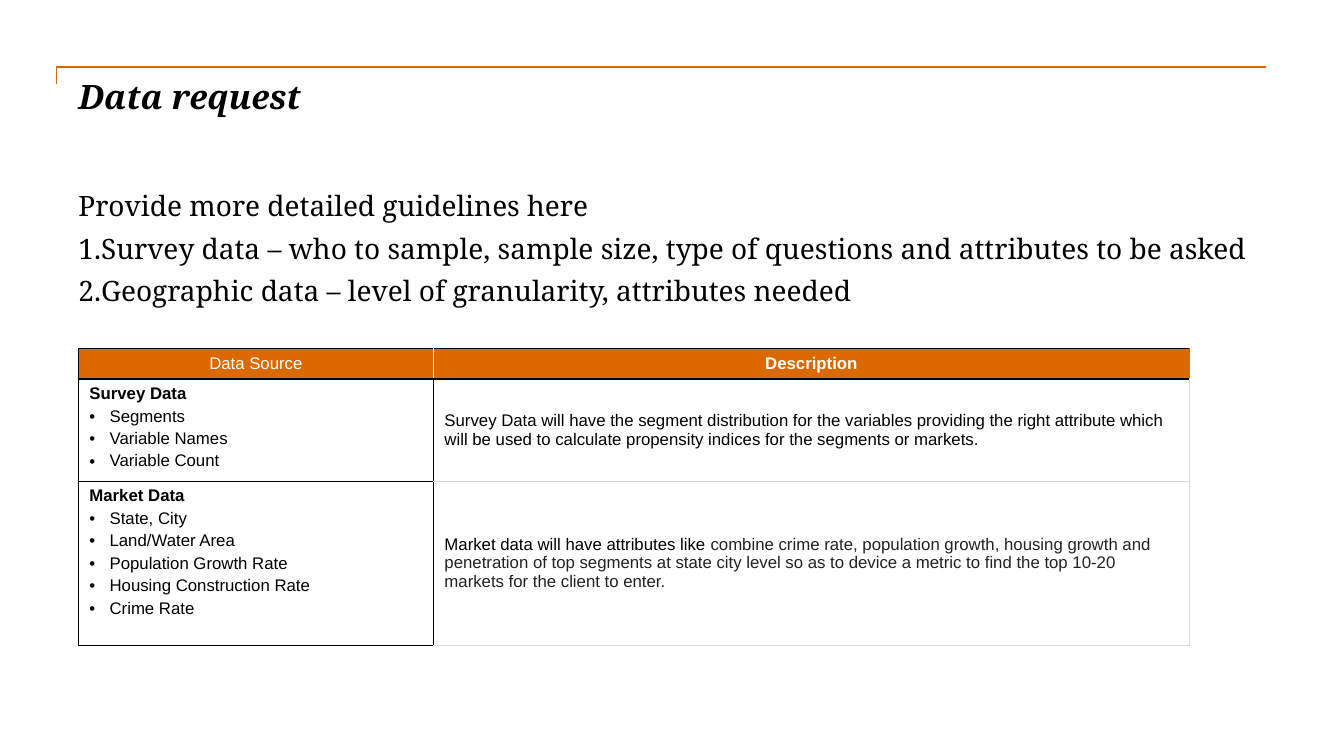
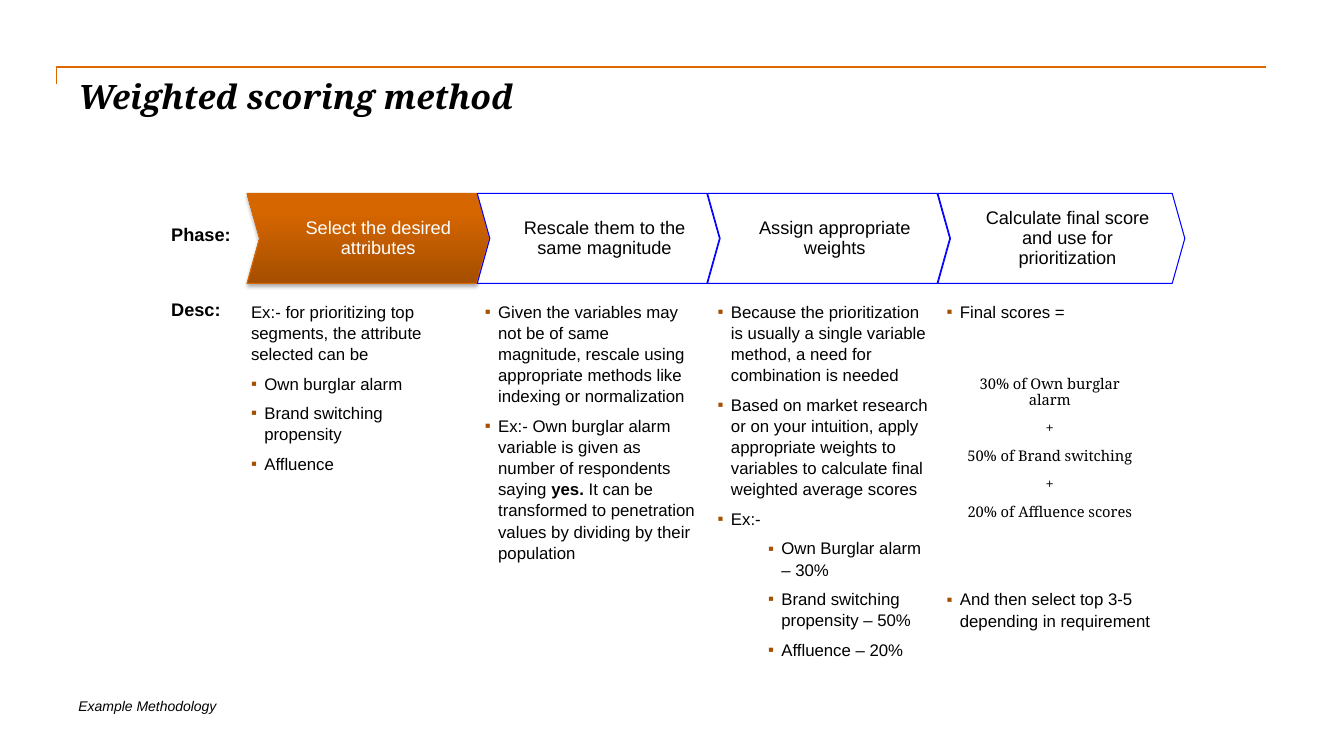
from lxml import etree
from pptx import Presentation
from pptx.dml.color import RGBColor
from pptx.enum.shapes import MSO_SHAPE
from pptx.enum.text import MSO_ANCHOR, PP_ALIGN
from pptx.oxml.ns import qn
from pptx.util import Pt

CHEVRON = MSO_SHAPE.CHEVRON
TOP, MIDDLE, BOTTOM = MSO_ANCHOR.TOP, MSO_ANCHOR.MIDDLE, MSO_ANCHOR.BOTTOM
LEFT, CENTER = PP_ALIGN.LEFT, PP_ALIGN.CENTER

COLORS = {
    "accent": "DC6900", "text": "000000", "soft text": "222222", "white": "FFFFFF",
    "grid": "D9D9D9", "bullet": "A54F00", "outline": "0000FF",
    "active line": "D76700", "active dark": "A44E00", "active light": "D66600",
}
SERIF, SANS = "Noto Serif", "Arial"

# Content: each line is (kind, text); text may be a tuple of (text, changes) runs.
GUIDELINES = [
    ("plain", "Provide more detailed guidelines here"),
    ("number", "Survey data – who to sample, sample size, type of questions "
               "and attributes to be asked"),
    ("number", "Geographic data – level of granularity, attributes needed"),
]
TABLE_ROWS = [
    ([("plain", "Data Source")], [("heading", "Description")]),
    ([("heading", "Survey Data"), ("dot", "Segments"), ("dot", "Variable Names"),
      ("dot", "Variable Count")],
     [("plain", "Survey Data will have the segment distribution for the variables "
                "providing the right attribute which will be used to calculate "
                "propensity indices for the segments or markets.")]),
    ([("heading", "Market Data"), ("dot", "State, City"), ("dot", "Land/Water Area"),
      ("dot", "Population Growth Rate"), ("dot", "Housing Construction Rate"),
      ("dot", "Crime Rate")],
     [("plain", (("Market data will have attributes like ", {}),
                 ("combine crime rate, population growth, housing growth and "
                  "penetration of top segments at state city level so as to device "
                  "a metric to find the top 10-20 markets for the client to enter.",
                  {"color": "soft text"})))]),
]
COLUMN_WIDTHS = (253.6, 540)
ROW_HEIGHTS = (22, 71, 117)

ROW_LABELS = [("Phase:", 157.7), ("Desc:", 211)]
# Phases: title, left edge of the description, description lines.
PHASES = [
    ("Select the desired attributes", 171.4, [
        ("plain", "Ex:- for prioritizing top segments, the attribute selected can be"),
        ("square", "Own burglar alarm"),
        ("square", "Brand switching propensity"),
        ("square", "Affluence")]),
    ("Rescale them to the same magnitude", 338.4, [
        ("square", "Given the variables may not be of same magnitude, rescale using "
                   "appropriate methods like indexing or normalization"),
        ("square", (("Ex:- Own burglar alarm variable is given as number of "
                     "respondents saying ", {}),
                    ("yes. ", {"bold": True}),
                    ("It can be transformed to penetration values by dividing by "
                     "their population", {})))]),
    ("Assign appropriate weights", 504.7, [
        ("square", "Because the prioritization is usually a single variable method, "
                   "a need for combination is needed"),
        ("square", "Based on market research or on your intuition, apply appropriate "
                   "weights to variables to calculate final weighted average scores"),
        ("square", "Ex:-"),
        ("sub square", "Own Burglar alarm – 30%"),
        ("sub square", "Brand switching propensity – 50%"),
        ("sub square", "Affluence – 20%")]),
    ("Calculate final score and use for prioritization", 668.2, [
        ("square", "Final scores ="),
        ("square", "And then select top 3-5 depending in requirement")]),
]
FORMULA = [("plain", text) for text in (
    "30% of Own burglar alarm", "+", "50% of Brand switching", "+",
    "20% of Affluence scores")]
FORMULA_GAP = 190.5

# Kind: (left margin, hanging indent, bullet tag, bullet attributes, bullet colour)
BULLETS = {
    "number": (14.4, 14.4, "a:buAutoNum", {"type": "arabicPeriod"}, "text"),
    "dot": (14.4, 14.4, "a:buChar", {"char": "•"}, "text"),
    "square": (9.5, 9.5, "a:buChar", {"char": "▪"}, "bullet"),
    "sub square": (45.5, 9.5, "a:buChar", {"char": "▪"}, "bullet"),
}


def rgb(name):
    """Return a named colour."""
    return RGBColor.from_string(COLORS[name])


def add_xml(parent, tag, **attributes):
    """Append an XML child with the given attributes."""
    child = etree.SubElement(parent, qn(tag))
    for key, value in attributes.items():
        child.set(key, str(value))
    return child


def add_color(parent, name):
    """Append a plain colour and return it."""
    return add_xml(parent, "a:srgbClr", val=COLORS[name])


def set_bullet(paragraph, kind):
    """Give a paragraph the indent and bullet of its kind."""
    margin, hanging, tag, attributes, color = BULLETS[kind]
    properties = paragraph._p.get_or_add_pPr()
    properties.set("marL", str(int(Pt(margin))))
    properties.set("indent", str(-int(Pt(hanging))))
    add_color(add_xml(properties, "a:buClr"), color)
    if tag == "a:buChar":
        add_xml(properties, "a:buFont", typeface=SANS)
    add_xml(properties, tag, **attributes)


def write(frame, lines, size, font=SANS, color="text", bold=False, italic=False,
          align=LEFT, before=0, after=0, spacing=1.0):
    """Fill a text frame with lines of one style."""
    for index, (kind, text) in enumerate(lines):
        paragraph = frame.add_paragraph() if index else frame.paragraphs[0]
        if kind in BULLETS:
            set_bullet(paragraph, kind)
        paragraph.alignment = align
        paragraph.line_spacing = spacing
        paragraph.space_before, paragraph.space_after = Pt(before), Pt(after)
        paragraph.font.name, paragraph.font.size = font, Pt(size)
        paragraph.font.bold = bold or kind == "heading"
        paragraph.font.italic = italic
        paragraph.font.color.rgb = rgb(color)
        for content, changes in ((text, {}),) if isinstance(text, str) else text:
            run = paragraph.add_run()
            run.text = content
            if "bold" in changes:
                run.font.bold = changes["bold"]
            if "color" in changes:
                run.font.color.rgb = rgb(changes["color"])


def set_frame(frame, insets=(0, 0, 0, 0), anchor=TOP):
    """Set wrapping, insets (left, top, right, bottom) and anchor."""
    frame.word_wrap = True
    frame.vertical_anchor = anchor
    (frame.margin_left, frame.margin_top,
     frame.margin_right, frame.margin_bottom) = map(Pt, insets)


def add_text(slide, box, lines, size, insets=(0, 0, 0, 0), anchor=TOP, **style):
    """Add a text box and return its frame."""
    frame = slide.shapes.add_textbox(*map(Pt, box)).text_frame
    set_frame(frame, insets, anchor)
    write(frame, lines, size, **style)
    return frame


def add_slide(presentation, title):
    """Add a slide with the shared corner rule and title."""
    slide = presentation.slides.add_slide(presentation.slide_layouts[6])
    builder = slide.shapes.build_freeform(Pt(40.2), Pt(60), scale=1.0)
    builder.add_line_segments([(Pt(40.2), Pt(48)), (Pt(904.2), Pt(48))], close=False)
    rule = builder.convert_to_shape()
    rule.shadow.inherit = False
    rule.fill.background()
    rule.line.color.rgb, rule.line.width = rgb("accent"), Pt(1)
    add_text(slide, (56, 54, 848, 72), [("plain", title)], 24,
             font=SERIF, bold=True, italic=True)
    return slide


def set_borders(cell, borders):
    """Draw cell borders from {side: (colour, width)}."""
    properties = cell._tc.get_or_add_tcPr()
    for index, side in enumerate("LRTB"):
        color, width = borders[side]
        line = etree.Element(qn("a:ln" + side), w=str(int(Pt(width))))
        add_color(add_xml(line, "a:solidFill"), color)
        properties.insert(index, line)


def cell_borders(row, column):
    """Return the border rule for one table cell."""
    black, grey, white = ("text", 1), ("grid", 1), ("white", 1)
    header_edge = ("text", 1.5)
    if row == 0:
        return {"L": white if column else black,
                "R": ("accent", 1) if column else white,
                "T": black, "B": header_edge}
    side = grey if column else black
    return {"L": black, "R": side, "T": header_edge if row == 1 else side, "B": side}


def add_data_table(slide):
    """Add the table of data sources."""
    table = slide.shapes.add_table(
        len(TABLE_ROWS), len(COLUMN_WIDTHS), Pt(56), Pt(249),
        Pt(sum(COLUMN_WIDTHS)), Pt(sum(ROW_HEIGHTS))).table
    table.first_row = table.horz_banding = False
    for column, width in zip(table.columns, COLUMN_WIDTHS):
        column.width = Pt(width)
    for row, height in zip(table.rows, ROW_HEIGHTS):
        row.height = Pt(height)
    for row, contents in enumerate(TABLE_ROWS):
        header = row == 0
        for column, lines in enumerate(contents):
            cell = table.cell(row, column)
            cell.fill.solid()
            cell.fill.fore_color.rgb = rgb("accent" if header else "white")
            cell.vertical_anchor = MIDDLE if header or column else TOP
            cell.margin_left = cell.margin_right = Pt(7.9)
            cell.margin_top = cell.margin_bottom = Pt(4)
            write(cell.text_frame, lines, 12, color="white" if header else "text",
                  align=CENTER if header else LEFT, before=3, spacing=0.97)
            set_borders(cell, cell_borders(row, column))


def add_phase(slide, index, title):
    """Add one chevron; the first is the active phase."""
    active = index == 0
    width = 176.4 if index == len(PHASES) - 1 else 173
    shape = slide.shapes.add_shape(
        CHEVRON, Pt(176.4 + 164.5 * index), Pt(138.2), Pt(width), Pt(64.3))
    shape.adjustments[0] = 0.14
    shape.line.width = Pt(0.75)
    shape.line.color.rgb = rgb("active line" if active else "outline")
    shape.shadow.inherit = False
    if active:
        shape.fill.gradient()
        shape.fill.gradient_angle = 90
        stops = zip(shape.fill.gradient_stops, ("active dark", "active light"), (0, 0.8))
        for stop, color, position in stops:
            stop.color.rgb, stop.position = rgb(color), position
        effects = shape._element.spPr.find(qn("a:effectLst"))
        shadow = add_xml(effects, "a:outerShdw", blurRad=int(Pt(3.1)),
                         dist=int(Pt(1.8)), dir=5400000, rotWithShape=0)
        add_xml(add_color(shadow, "text"), "a:alpha", val=35000)
    else:
        shape.fill.solid()
        shape.fill.fore_color.rgb = rgb("white")
    set_frame(shape.text_frame, (21.6 if active else 15.8, 3.6, 7.2, 3.6), MIDDLE)
    write(shape.text_frame, [("plain", title)], 13, align=CENTER, spacing=0.9,
          color="white" if active else "text")


def build_data_request(presentation):
    """Build the data request slide."""
    slide = add_slide(presentation, "Data request")
    add_text(slide, (56, 138, 848, 348), GUIDELINES, 20, font=SERIF,
             after=9, spacing=0.88)
    add_data_table(slide)


def build_scoring_method(presentation):
    """Build the weighted scoring slide."""
    slide = add_slide(presentation, "Weighted scoring method")
    for label, top in ROW_LABELS:
        add_text(slide, (115.2, top, 62, 21.6), [("plain", label)], 13,
                 insets=(7.2, 3.6, 7.2, 3.6), bold=True, spacing=0.9)
    for index, (title, left, lines) in enumerate(PHASES):
        add_phase(slide, index, title)
        description = add_text(slide, (left, 211, 167, 265), lines, 12,
                               insets=(7.9, 3.6, 7.9, 3.6), before=6, spacing=1.05)
    description.paragraphs[-1].space_before = Pt(FORMULA_GAP)
    add_text(slide, (689.8, 239.8, 120.2, 162), FORMULA, 10.5, anchor=MIDDLE,
             font=SERIF, align=CENTER, after=9, spacing=0.88)
    add_text(slide, (56, 498, 552, 12), [("plain", "Example Methodology")], 10,
             anchor=BOTTOM, italic=True)


presentation = Presentation()
presentation.slide_width, presentation.slide_height = Pt(960), Pt(540)
build_data_request(presentation)
build_scoring_method(presentation)
presentation.save("out.pptx")
